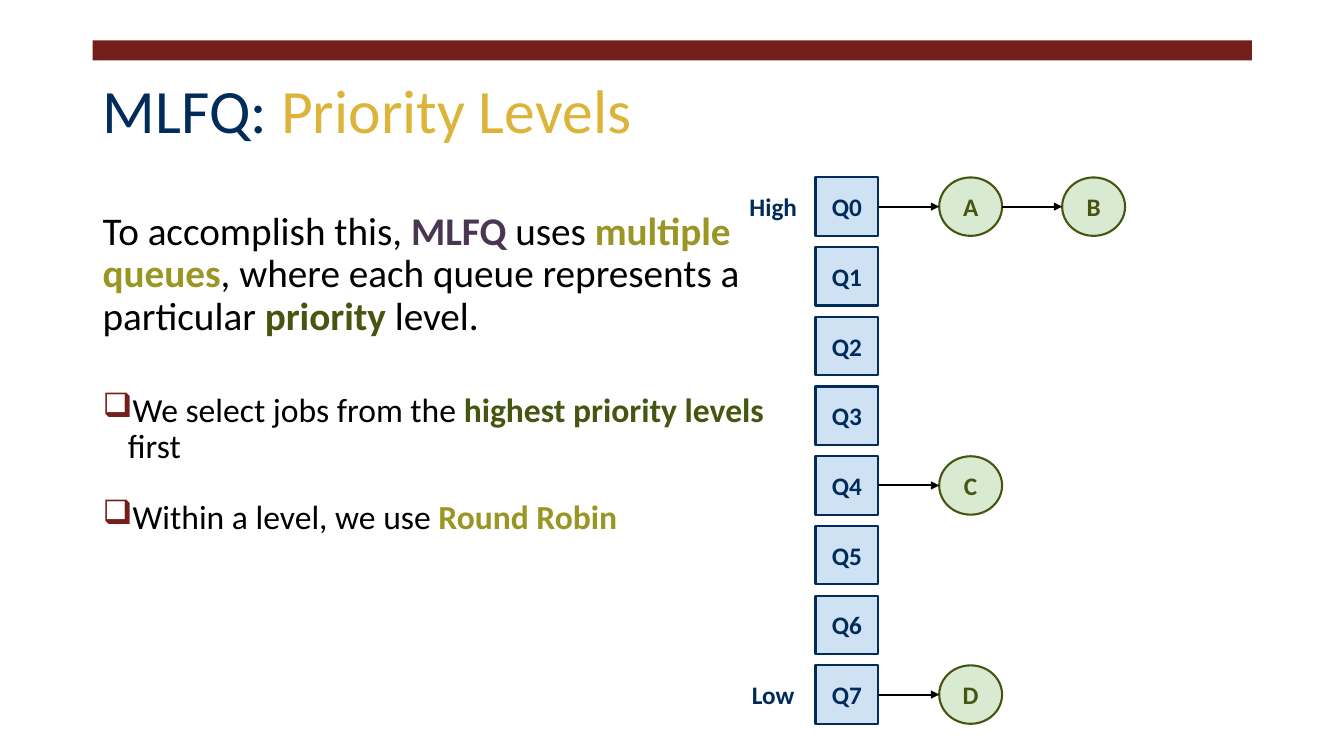
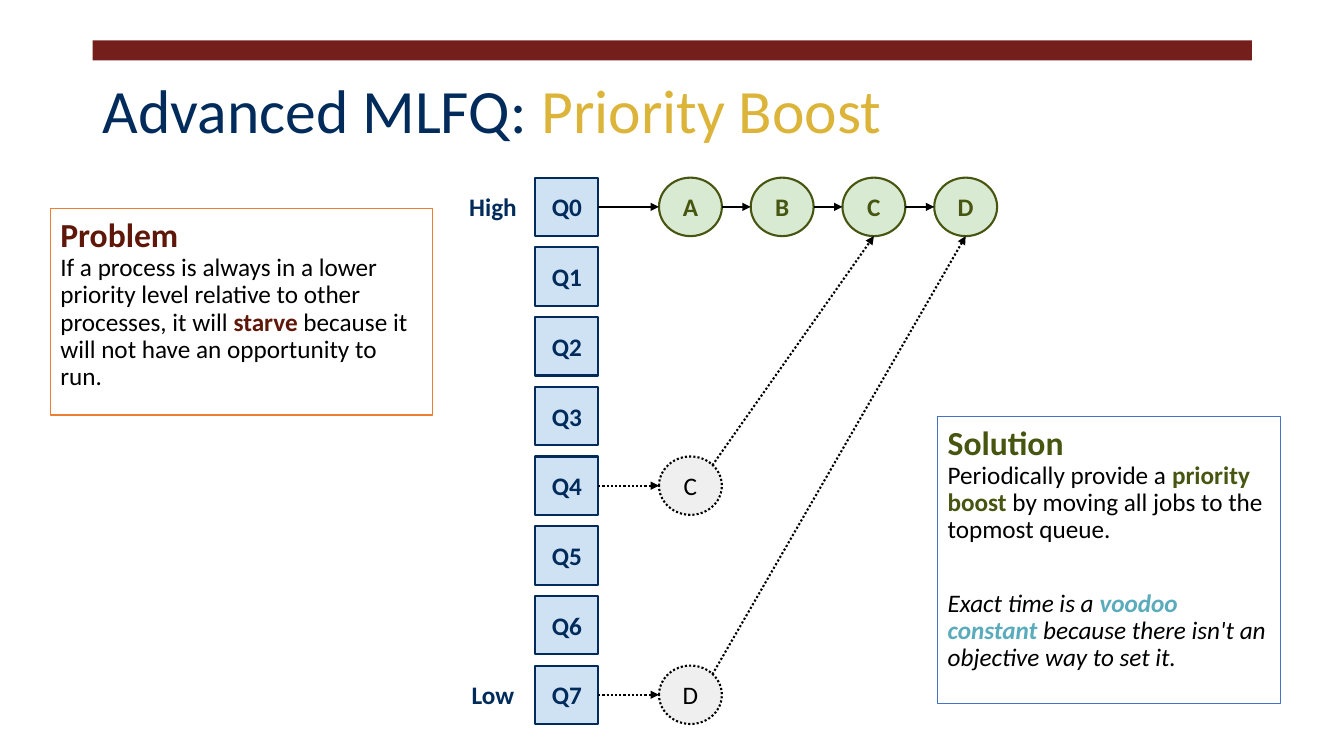
from collections import namedtuple

from lxml import etree
from pptx import Presentation
from pptx.dml.color import RGBColor
from pptx.enum.dml import MSO_LINE
from pptx.enum.shapes import MSO_CONNECTOR, MSO_SHAPE
from pptx.enum.text import MSO_ANCHOR, MSO_AUTO_SIZE, PP_ALIGN
from pptx.oxml.ns import qn
from pptx.util import Inches, Pt

RECTANGLE, OVAL = MSO_SHAPE.RECTANGLE, MSO_SHAPE.OVAL
STRAIGHT, DOTTED = MSO_CONNECTOR.STRAIGHT, MSO_LINE.ROUND_DOT
TOP, MIDDLE = MSO_ANCHOR.TOP, MSO_ANCHOR.MIDDLE
LEFT, CENTER = PP_ALIGN.LEFT, PP_ALIGN.CENTER
RIGHT_SIDE = 3

WIDTH, HEIGHT = Inches(13.33), Inches(7.5)
FONT = "Calibri"
COLORS = {
    "black": "000000", "white": "FFFFFF", "navy": "002B5B", "gold": "DCB439",
    "maroon": "751F1C", "brick": "5F1709", "plum": "4A3651", "olive": "999623",
    "forest": "465510", "teal": "5AABBC", "sky": "CFE2F3", "mint": "D9EAD3",
    "smoke": "EFEFEF", "orange": "ED7D31", "blue": "4472C4",
}
QUEUE = {"kind": RECTANGLE, "fill": "sky", "ink": "navy"}
JOB = {"kind": OVAL, "fill": "mint", "ink": "forest"}
OLD_JOB = {"kind": OVAL, "fill": "smoke", "ink": "black", "dash": DOTTED}
LEVELS = 8
Box = namedtuple("Box", "left top width height")


def across(percent):
    """Return a share of the slide's width."""
    return round(WIDTH * percent / 100)


def down(percent):
    """Return a share of the slide's height."""
    return round(HEIGHT * percent / 100)


def region(left, top, width, height):
    """Return the box that covers the given shares of the slide."""
    return Box(across(left), down(top), across(width), down(height))


BAR = region(6.9, 5.33, 86.25, 2.67)
TITLE = region(6.9, 5.33, 86.25, 19.33)
LABEL_WIDTH, NODE_WIDTH, NODE_HEIGHT = across(6.3), across(4.68), down(7.73)
JOBS_OFFSET = across(15.5)


def color(name):
    """Return a palette colour."""
    return RGBColor.from_string(COLORS[name])


def apply(target, values):
    """Set every attribute in a dict of format values."""
    for name, value in values.items():
        setattr(target, name, value)


def write(frame, paras, anchor=TOP):
    """Fill a text frame with paragraphs made of coloured spans."""
    apply(frame, {"word_wrap": True, "auto_size": MSO_AUTO_SIZE.NONE, "vertical_anchor": anchor})
    apply(frame, {f"margin_{side}": Inches(0.1) for side in ("left", "top", "right", "bottom")})
    for index, (spans, size, layout, style) in enumerate(paras):
        para = frame.add_paragraph() if index else frame.paragraphs[0]
        apply(para, layout)
        for text, ink in spans:
            span = para.add_run()
            span.text = text
            apply(span.font, {"name": FONT, "size": Pt(size), "bold": ink != "black", **style})
            span.font.color.rgb = color(ink)


def prose(spans, size, before=0, **style):
    """Describe a left-aligned paragraph of running text."""
    layout = {"alignment": LEFT, "line_spacing": 0.9, "space_before": Pt(before)}
    return spans, size, layout, style


def label(text, ink):
    """Describe a centred one-word paragraph."""
    return [([(text, ink)], 18, {"alignment": CENTER}, {})]


def add_bullet(para):
    """Give a paragraph a hanging square bullet."""
    properties = para._p.get_or_add_pPr()
    properties.set("marL", str(Inches(0.25)))
    properties.set("indent", str(Inches(-0.42)))
    tint = etree.SubElement(properties, qn("a:buClr"))
    etree.SubElement(tint, qn("a:srgbClr"), val=COLORS["maroon"])
    etree.SubElement(properties, qn("a:buChar"), char="❑")


def add_panel(slide, box, fill, line=None, width=1.0, kind=RECTANGLE, dash=None):
    """Add a flat filled shape, outlined if a line colour is given."""
    shape = slide.shapes.add_shape(kind, *box)
    shape.shadow.inherit = False
    shape.fill.solid()
    shape.fill.fore_color.rgb = color(fill)
    if line is None:
        shape.line.fill.background()
    else:
        shape.line.color.rgb = color(line)
        apply(shape.line, {"width": Pt(width), "dash_style": dash})
    return shape


def add_node(slide, box, text, kind, fill, ink, dash=None):
    """Add a labelled queue or job."""
    node = add_panel(slide, box, fill, ink, 1.5, kind, dash)
    write(node.text_frame, label(text, ink), MIDDLE)
    return node


def add_label(slide, box, text):
    """Add a plain label beside a queue."""
    write(slide.shapes.add_textbox(*box).text_frame, label(text, "navy"), MIDDLE)


def point(shape, right, lower):
    """Return the point at the given shares of a shape's size."""
    return round(shape.left + shape.width * right), round(shape.top + shape.height * lower)


def add_arrow(slide, start, end, dash=None):
    """Add an arrow between two points."""
    arrow = slide.shapes.add_connector(STRAIGHT, *start, *end)
    arrow.line.color.rgb = color("black")
    apply(arrow.line, {"width": Pt(1.5), "dash_style": dash})
    etree.SubElement(arrow.line._get_or_add_ln(), qn("a:tailEnd"), type="triangle")
    etree.SubElement(arrow._element.spPr, qn("a:effectLst"))
    return arrow


def add_queues(slide, box, jobs):
    """Draw the queues in a box with the jobs waiting at each level."""
    pitch = (box.height - NODE_HEIGHT) / (LEVELS - 1)
    most = max(len(names) for names, _ in jobs.values())
    step = (box.width - JOBS_OFFSET - NODE_WIDTH) / (most - 1)
    nodes = {}

    def cell(offset, level, width=NODE_WIDTH):
        """Return the box at an offset along a level."""
        return Box(round(box.left + offset), round(box.top + level * pitch), width, NODE_HEIGHT)

    for level in range(LEVELS):
        queue = add_node(slide, cell(LABEL_WIDTH, level), f"Q{level}", **QUEUE)
        names, style = jobs.get(level, ("", JOB))
        before = queue
        for column, name in enumerate(names):
            job = add_node(slide, cell(JOBS_OFFSET + column * step, level), name, **style)
            arrow = add_arrow(slide, point(before, 1, 0.5), point(job, 0, 0.5), style.get("dash"))
            if before is queue:
                arrow.begin_connect(queue, RIGHT_SIDE)
            nodes[level, name] = before = job
    for text, level in (("High", 0), ("Low", LEVELS - 1)):
        add_label(slide, cell(0, level, LABEL_WIDTH), text)
    return nodes


def add_page(deck, topic, subject):
    """Add a slide with a two-colour title."""
    page = deck.slides.add_slide(deck.slide_layouts[5])
    title = page.shapes.title
    apply(title, TITLE._asdict())
    spans = [(topic, "navy"), (subject, "gold")]
    write(title.text_frame, [prose(spans, 44, bold=False)], MIDDLE)
    return page


def add_body(slide, box):
    """Write the explanation of priority levels."""
    frame = slide.shapes.add_textbox(*box).text_frame
    write(frame, [
        prose([("To accomplish this, ", "black"), ("MLFQ", "plum"), (" uses ", "black"),
               ("multiple queues", "olive"),
               (", where each queue represents a particular ", "black"),
               ("priority", "forest"), (" level.", "black")], 28, 10),
        prose([("We select jobs from the ", "black"), ("highest priority levels", "forest"),
               (" first", "black")], 24, 39),
        prose([("Within a level, we use ", "black"), ("Round Robin", "olive")], 24, 25),
    ])
    for para in frame.paragraphs[1:]:
        add_bullet(para)


def add_card(slide, box, line, heading, ink, paras):
    """Add an outlined card with a coloured heading."""
    card = add_panel(slide, box, "white", line)
    write(card.text_frame, [prose([(heading, ink)], 24, 10), *paras])


def build_levels(deck):
    """Build the slide on priority levels."""
    page = add_page(deck, "MLFQ: ", "Priority Levels")
    add_body(page, region(6.9, 26.67, 50.78, 71.33))
    jobs = {0: ("AB", JOB), 4: ("C", JOB), 7: ("D", JOB)}
    add_queues(page, region(54.38, 23.47, 29.33, 72.27), jobs)
    return page


def build_boost(deck):
    """Build the slide on the priority boost."""
    page = add_page(deck, "Advanced MLFQ: ", "Priority Boost")
    add_card(page, region(3.75, 27.6, 28.43, 27.33), "orange", "Problem", "brick", [
        prose([("If a process is always in a lower priority level relative to other processes, "
                "it will ", "black"), ("starve", "brick"),
               (" because it will not have an opportunity to run.", "black")], 18),
    ])
    add_card(page, region(69.77, 55.07, 25.51, 38), "blue", "Solution", "forest", [
        prose([("Periodically provide a ", "black"), ("priority boost", "forest"),
               (" by moving all jobs to the topmost queue.", "black")], 18),
        prose([("Exact time is a ", "black"), ("voodoo constant", "teal"),
               (" because there isn't an objective way to set it.", "black")],
              18, 33, italic=True),
    ])
    jobs = {0: ("ABCD", JOB), 4: ("C", OLD_JOB), 7: ("D", OLD_JOB)}
    nodes = add_queues(page, region(33.53, 23.5, 40.66, 72.27), jobs)
    for level, name in ((4, "C"), (7, "D")):
        start = point(nodes[level, name], 0.85, 0.15)
        add_arrow(page, start, point(nodes[0, name], 0.5, 1), DOTTED)


def main():
    """Build and save the deck."""
    deck = Presentation()
    apply(deck, {"slide_width": WIDTH, "slide_height": HEIGHT})
    page = build_levels(deck)
    bar = add_panel(page, BAR, "maroon")
    page.slide_layout.shapes._spTree.append(bar._element)
    build_boost(deck)
    deck.save("out.pptx")


if __name__ == "__main__":
    main()
